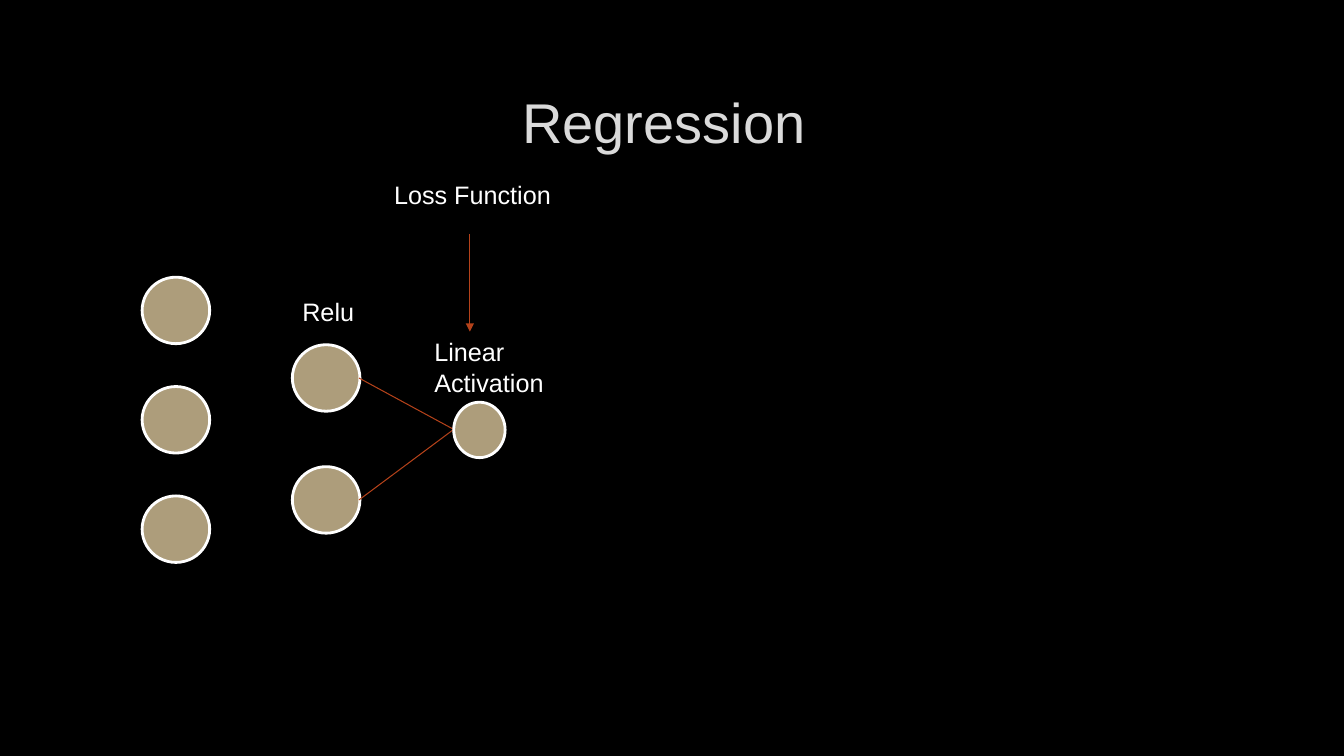
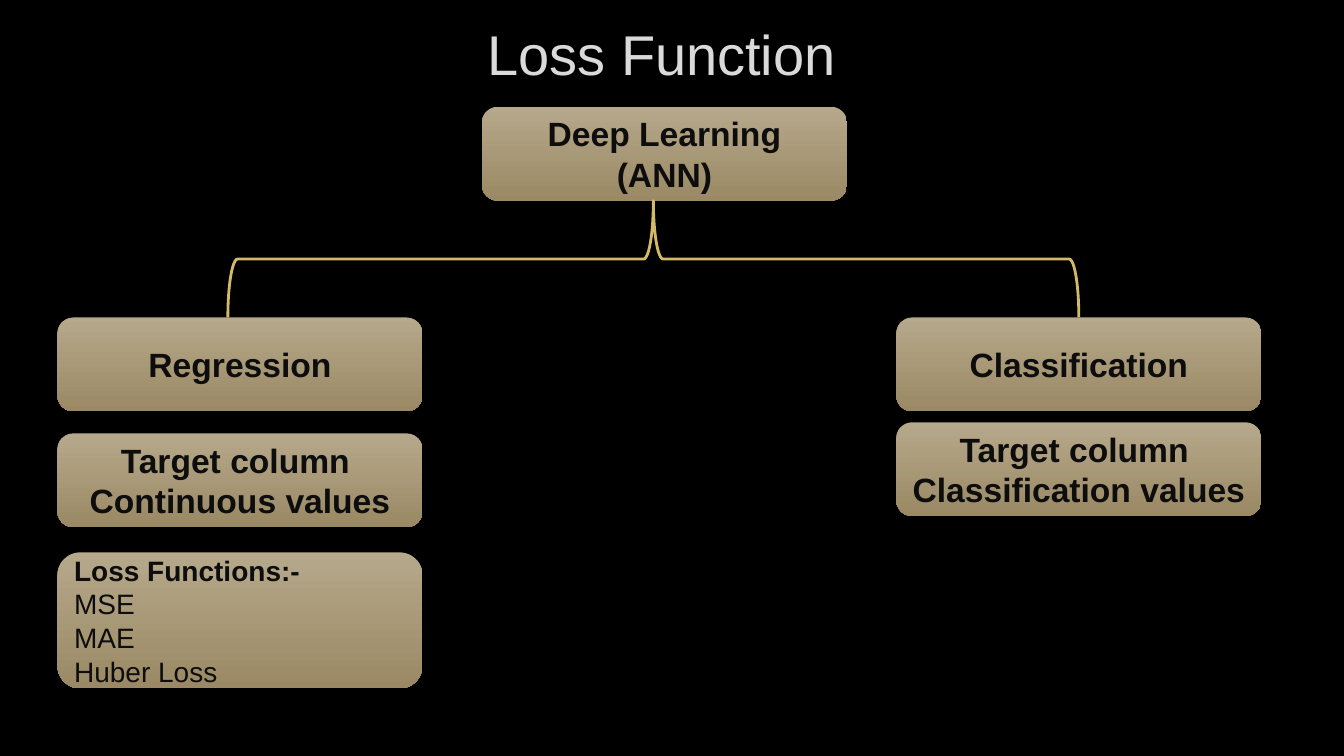
from lxml import etree
from pptx import Presentation
from pptx import util as u
from pptx.dml import color
from pptx.enum import shapes, text
from pptx.oxml import ns

COLORS = {
    "background": "000000",
    "title": "DADADA",
    "label": "FFFFFF",
    "neuron": "AD9D7B",
    "link": "B4421A",
    "box_top": "B6A88B",
    "box_bottom": "9A8964",
    "box_text": "0D0D0D",
    "brace": "D3BA68",
}
FONT = "Arial"
CENTER, LEFT = text.PP_ALIGN.CENTER, text.PP_ALIGN.LEFT


def rgb(name):
    return color.RGBColor.from_string(COLORS[name])


class Deck:
    def __init__(self):
        self.prs = Presentation()
        self.prs.slide_width = u.Inches(13.33)
        self.prs.slide_height = u.Inches(7.5)
        self.s = None

    def new_slide(self, title, left, top):
        self.s = self.prs.slides.add_slide(self.prs.slide_layouts[6])
        fill = self.s.background.fill
        fill.solid()
        fill.fore_color.rgb = rgb("background")
        self.label(title, left, top, 11.32, 1.06, 40, "title", CENTER, text.MSO_ANCHOR.MIDDLE)

    def set_text(self, sp, lines, size, name, align, anchor, bold_lines=0):
        tf = sp.text_frame
        tf.word_wrap = True
        tf.vertical_anchor = anchor
        for i, line in enumerate(lines):
            p = tf.paragraphs[0] if i == 0 else tf.add_paragraph()
            p.text = line
            p.alignment = align
            p.font.name = FONT
            p.font.size = u.Pt(size)
            p.font.bold = i < bold_lines
            p.font.color.rgb = rgb(name)

    def label(self, words, left, top, width, height=0.4, size=18, name="label",
              align=LEFT, anchor=text.MSO_ANCHOR.TOP):
        sp = self.s.shapes.add_textbox(*map(u.Inches, (left, top, width, height)))
        self.set_text(sp, [words], size, name, align, anchor)

    def shape(self, kind, left, top, width, height):
        sp = self.s.shapes.add_shape(kind, *map(u.Inches, (left, top, width, height)))
        sp.shadow.inherit = False
        return sp

    def outline(self, sp, name, width):
        sp.line.color.rgb = rgb(name)
        sp.line.width = u.Pt(width)

    def neuron(self, left, top, width=0.67, height=0.66):
        sp = self.shape(shapes.MSO_SHAPE.OVAL, left, top, width, height)
        sp.fill.solid()
        sp.fill.fore_color.rgb = rgb("neuron")
        self.outline(sp, "label", 2)

    def link(self, x1, y1, x2, y2, arrow=False):
        cn = self.s.shapes.add_connector(
            shapes.MSO_CONNECTOR.STRAIGHT, *map(u.Inches, (x1, y1, x2, y2)))
        self.outline(cn, "link", 0.75)
        sp_pr = cn._element.spPr
        if arrow:
            etree.SubElement(sp_pr.find(ns.qn("a:ln")), ns.qn("a:tailEnd"), type="triangle")
        etree.SubElement(sp_pr, ns.qn("a:effectLst"))

    def box(self, lines, left, top, height=0.93, size=24, align=CENTER, bold_lines=2):
        sp = self.shape(shapes.MSO_SHAPE.ROUNDED_RECTANGLE, left, top, 3.62, height)
        sp.line.fill.background()
        sp.fill.gradient()
        sp.fill.gradient_angle = 270
        for stop, name in zip(sp.fill.gradient_stops, ("box_top", "box_bottom")):
            stop.color.rgb = rgb(name)
        self.set_text(sp, lines, size, "box_text", align, text.MSO_ANCHOR.MIDDLE, bold_lines)

    def brace(self, left, top, width, height):
        sp = self.shape(shapes.MSO_SHAPE.LEFT_BRACE, left, top, width, height)
        sp.rotation = 90
        sp.fill.background()
        self.outline(sp, "brace", 2)


def regression_slide(deck):
    deck.new_slide("Regression ", 1, 0.67)
    for row in range(3):
        deck.neuron(1.41, 2.75 + row * 2.17 / 2)
    for top in (3.42, 4.63):
        deck.neuron(2.9, top)
        deck.link(3.56, top + 0.33, 4.5, 4.26)
    deck.neuron(4.5, 3.99, 0.51, 0.55)
    deck.label("Relu", 2.9, 2.89, 1.09)
    deck.label("Linear Activation", 4.21, 3.29, 1.94, 0.71)
    deck.link(4.66, 2.32, 4.66, 3.29, arrow=True)
    deck.label("Loss Function", 3.81, 1.73, 1.94)


def loss_function_slide(deck):
    deck.new_slide("Loss Function", 0.9, 0)
    deck.box(["Deep Learning (ANN)"], 4.78, 1.06)
    deck.brace(5.9, -1.65, 1.16, 8.44)
    branches = (
        (0.57, "Regression", 4.3, "Continuous values"),
        (8.89, "Classification", 4.19, "Classification values"),
    )
    for left, task, target_top, target in branches:
        deck.box([task], left, 3.15)
        deck.box(["Target column ", target], left, target_top)
    deck.box(["Loss Functions:-", "MSE", "MAE", "Huber Loss"], 0.57, 5.48,
             height=1.35, size=20, align=LEFT, bold_lines=1)


def main():
    deck = Deck()
    regression_slide(deck)
    loss_function_slide(deck)
    deck.prs.save("out.pptx")


if __name__ == "__main__":
    main()
